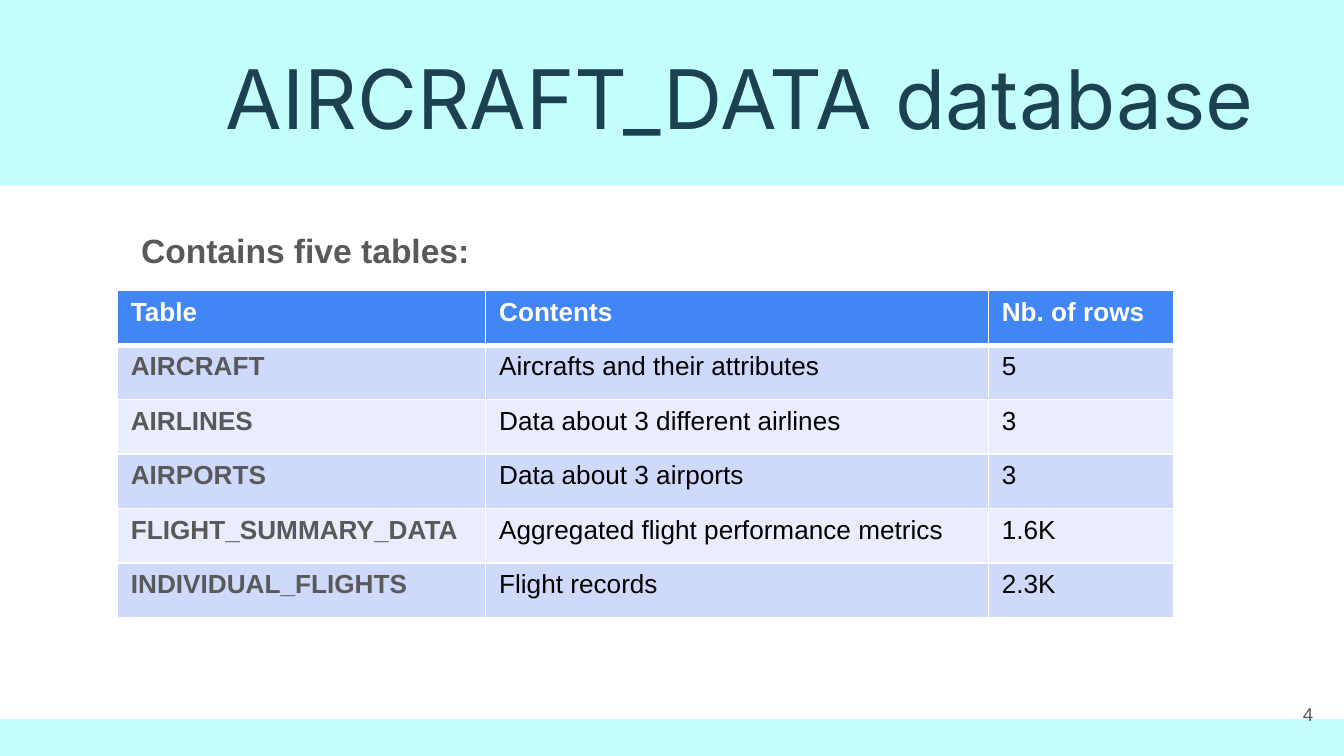
from lxml import etree
from pptx import Presentation
from pptx.dml.color import RGBColor
from pptx.enum import shapes, text
from pptx.oxml import ns
from pptx.util import Pt

AQUA = RGBColor(0xC3, 0xFF, 0xFC)
TEAL = RGBColor(0x1C, 0x42, 0x52)
GREY = RGBColor(0x59, 0x59, 0x59)
BLACK = RGBColor(0, 0, 0)
WHITE = RGBColor(0xFF, 0xFF, 0xFF)
HEADER_BLUE = RGBColor(0x42, 0x85, 0xF4)
BANDS = (RGBColor(0xCF, 0xD9, 0xFB), RGBColor(0xE9, 0xED, 0xFD))

SLIDE_W, SLIDE_H = 720, 405
COLUMN_WIDTHS = (197.3, 269.3, 99.4)
ROW_HEIGHT = 29.2
ROWS = (
    ("Table", "Contents", "Nb. of rows"),
    ("AIRCRAFT", "Aircrafts and their attributes", "5"),
    ("AIRLINES", "Data about 3 different airlines", "3"),
    ("AIRPORTS", "Data about 3 airports", "3"),
    ("FLIGHT_SUMMARY_DATA", "Aggregated flight performance metrics", "1.6K"),
    ("INDIVIDUAL_FLIGHTS", "Flight records", "2.3K"),
)


def style_runs(paragraph, size, color, font="Arial", bold=False):
    for run in paragraph.runs:
        run.font.name = font
        run.font.size = Pt(size)
        run.font.bold = bold
        run.font.color.rgb = color


def add_band(slide, top, height):
    """Full-width colour band, kept behind the title."""
    band = slide.shapes.add_shape(
        shapes.MSO_SHAPE.RECTANGLE, 0, Pt(top), Pt(SLIDE_W), Pt(height))
    band.shadow.inherit = False
    band.fill.solid()
    band.fill.fore_color.rgb = AQUA
    band.line.fill.background()
    slide.shapes.title.element.addprevious(band.element)


def fill_text(holder, box, wording, align, anchor):
    """Place a text holder and return its only paragraph."""
    holder.left, holder.top, holder.width, holder.height = map(Pt, box)
    frame = holder.text_frame
    frame.text = wording
    frame.word_wrap = True
    frame.auto_size = text.MSO_AUTO_SIZE.NONE
    frame.vertical_anchor = anchor
    frame.margin_left = frame.margin_right = Pt(7.2)
    frame.margin_top = frame.margin_bottom = Pt(7.2)
    paragraph = frame.paragraphs[0]
    paragraph.alignment = align
    paragraph.space_before = Pt(0)
    return paragraph


def indent_without_bullet(paragraph, indent):
    properties = paragraph._p.get_or_add_pPr()
    properties.set("marL", str(Pt(indent)))
    properties.set("indent", "0")
    etree.SubElement(properties, ns.qn("a:buNone"))


def add_borders(tc, widths):
    properties = tc.get_or_add_tcPr()
    for side, width in widths.items():
        line = etree.SubElement(properties, ns.qn(f"a:ln{side}"), w=str(Pt(width)))
        fill = etree.SubElement(line, ns.qn("a:solidFill"))
        etree.SubElement(fill, ns.qn("a:srgbClr"), val=str(WHITE))


def add_tables_overview(slide):
    frame = slide.shapes.add_table(
        len(ROWS), len(COLUMN_WIDTHS), Pt(62.9), Pt(155.7),
        Pt(sum(COLUMN_WIDTHS)), Pt(ROW_HEIGHT * len(ROWS)))
    overview = frame.table
    for column, width in zip(overview.columns, COLUMN_WIDTHS):
        column.width = Pt(width)
    for row in overview.rows:
        row.height = Pt(ROW_HEIGHT)

    # Borders come before fills in the cell properties
    for index, tc in enumerate(frame.element.iter(ns.qn("a:tc"))):
        row = index // len(COLUMN_WIDTHS)
        add_borders(tc, {"L": 1, "R": 1, "T": 3 if row == 1 else 1,
                         "B": 3 if row == 0 else 1})

    for r, row in enumerate(ROWS):
        for c, wording in enumerate(row):
            cell = overview.cell(r, c)
            cell.text = wording
            cell.fill.solid()
            cell.fill.fore_color.rgb = BANDS[(r - 1) % 2] if r else HEADER_BLUE
            color = WHITE if r == 0 else GREY if c == 0 else BLACK
            style_runs(cell.text_frame.paragraphs[0], 14, color,
                       bold=r == 0 or c == 0)


def main():
    deck = Presentation()
    deck.slide_width, deck.slide_height = Pt(SLIDE_W), Pt(SLIDE_H)
    slide = deck.slides.add_slide(deck.slide_layouts[1])

    # Bands at the foot and the head
    add_band(slide, 385.2, 19.8)
    add_band(slide, 0, 99.4)

    # Title
    title = fill_text(slide.shapes.title, (100, 18, 593.3, 54.7),
                      "AIRCRAFT_DATA database",
                      text.PP_ALIGN.CENTER, text.MSO_ANCHOR.TOP)
    style_runs(title, 44, TEAL, font="Inter")

    # Lead-in line
    lead_in = fill_text(slide.placeholders[1], (32.4, 113, 629.3, 39.6),
                        "Contains five tables:",
                        text.PP_ALIGN.LEFT, text.MSO_ANCHOR.TOP)
    lead_in.line_spacing = 1.15
    indent_without_bullet(lead_in, 36)
    style_runs(lead_in, 18, GREY, bold=True)

    # Slide number
    number_box = slide.shapes.add_textbox(0, 0, 0, 0)
    number = fill_text(number_box, (667.4, 367.2, 43.2, 31), "4",
                       text.PP_ALIGN.RIGHT, text.MSO_ANCHOR.MIDDLE)
    style_runs(number, 10, GREY)

    add_tables_overview(slide)
    deck.save("out.pptx")


if __name__ == "__main__":
    main()
